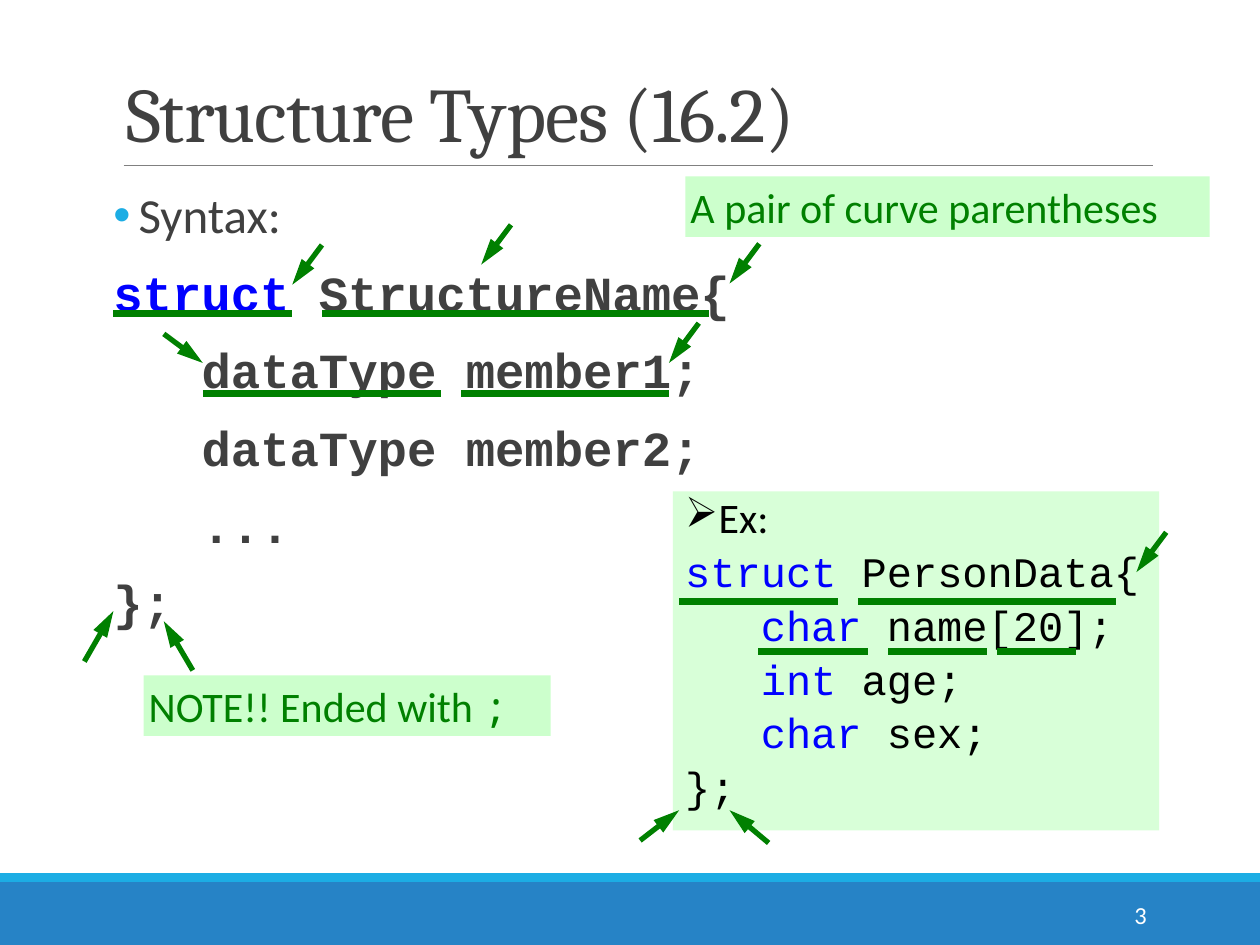
from lxml import etree
from pptx import Presentation
from pptx.dml.color import RGBColor
from pptx.enum.shapes import MSO_CONNECTOR, MSO_SHAPE
from pptx.enum.text import MSO_ANCHOR, MSO_AUTO_SIZE, PP_ALIGN
from pptx.oxml.ns import qn
from pptx.util import Pt

STRAIGHT = MSO_CONNECTOR.STRAIGHT
RECTANGLE = MSO_SHAPE.RECTANGLE
TOP, MIDDLE, BOTTOM = MSO_ANCHOR.TOP, MSO_ANCHOR.MIDDLE, MSO_ANCHOR.BOTTOM
NO_FIT, GROW = MSO_AUTO_SIZE.NONE, MSO_AUTO_SIZE.SHAPE_TO_FIT_TEXT
LEFT, RIGHT = PP_ALIGN.LEFT, PP_ALIGN.RIGHT

# Theme: colours, type styles and line widths
THEME = {
    "colors": {"band": "2683C6", "accent": "1CADE4", "rule": "808080", "mark": "008000",
               "note": "CCFFCC", "text": "404040", "keyword": "0000FF",
               "black": "000000", "white": "FFFFFF"},
    "styles": {  # font, size, colour, bold
        "title": ("Cambria", 44, "text", False),
        "lead": ("Calibri", 28, "text", False),
        "syntax": ("Courier New", 28, "text", True),
        "syntax keyword": ("Courier New", 28, "keyword", True),
        "example": ("Calibri", 24, "black", False),
        "code": ("Courier New", 24, "black", False),
        "code keyword": ("Courier New", 24, "keyword", False),
        "note": ("Calibri", 24, "mark", False),
        "note code": ("Noto Sans Mono", 24, "mark", False),
        "number": ("Calibri", 14, "white", False),
    },
    "lines": {"rule": 0.5, "underline": 4, "arrow": 3},
}
SYNTAX_INDENT, CODE_INDENT = 50.4, 43.2  # three monospaced characters

# Content: each line is (indent, bullet, runs); each run is (text, style)
TITLE = [(0, None, [("Structure Types (16.2)", "title")])]
SYNTAX = [
    (14.4, "•", [("Syntax:", "lead")]),
    (0, None, [("struct ", "syntax keyword"), ("StructureName{", "syntax")]),
    (SYNTAX_INDENT, None, [("dataType member1;", "syntax")]),
    (SYNTAX_INDENT, None, [("dataType member2;", "syntax")]),
    (SYNTAX_INDENT, None, [("...", "syntax")]),
    (0, None, [("};", "syntax")]),
]
EXAMPLE = [
    (0, "➢", [("Ex:", "example")]),
    (0, None, [("struct ", "code keyword"), ("PersonData{", "code")]),
    (CODE_INDENT, None, [("char", "code keyword"), (" name[20];", "code")]),
    (CODE_INDENT, None, [("int", "code keyword"), (" age;", "code")]),
    (CODE_INDENT, None, [("char", "code keyword"), (" sex;", "code")]),
    (0, None, [("};", "code")]),
]
NOTES = [  # box, runs
    ((391.7, 100.8, 299.5, 34.6), [("A pair of curve parentheses", "note")]),
    ((82.1, 385.9, 232.6, 34.6), [("NOTE!! Ended with ", "note"), (";", "note code")]),
]
NUMBER = [(0, None, [("3", "number")])]

UNDERLINES = {  # height on the slide: (start, end) of each underlined word
    179.3: [(64.8, 167), (184.3, 405.4)],
    224.6: [(115.9, 252), (263.5, 382.3)],
    343.8: [(388.1, 478.8), (490.3, 637.9)],
    372.2: [(433.4, 496.1), (507.6, 563.8), (569.5, 614.9)],
}
ARROWS = {  # offset from tip to tail: tips
    (17, -22.7): [(167, 162.7), (275, 151.2), (382.3, 207.4), (416.9, 162), (649.4, 326.9)],
    (-22.3, -16.6): [(115.9, 207.4)],
    (-16.6, 28.8): [(64.8, 349.2)],
    (16.6, 28.1): [(93.6, 355)],
    (-22.3, 17.3): [(388.1, 463)],
    (22.3, 18.7): [(416.9, 463)],
}


def color(name):
    return RGBColor.from_string(THEME["colors"][name])


def place(shape, box):
    for name, value in zip(("left", "top", "width", "height"), box):
        setattr(shape, name, Pt(value))


def set_bullet(paragraph, bullet, indent):
    properties = paragraph._p.get_or_add_pPr()
    properties.set("marL", str(Pt(indent)))
    properties.set("indent", str(-Pt(indent) if bullet else 0))
    if not bullet:
        etree.SubElement(properties, qn("a:buNone"))
        return
    if indent:
        bullet_color = etree.SubElement(properties, qn("a:buClr"))
        etree.SubElement(bullet_color, qn("a:srgbClr"), val=THEME["colors"]["accent"])
    etree.SubElement(properties, qn("a:buChar"), char=bullet)


def write(shape, lines, frame_format, paragraph_format):
    frame = shape.text_frame
    for name, value in frame_format.items():
        setattr(frame, name, value)
    for index, (indent, bullet, runs) in enumerate(lines):
        paragraph = frame.add_paragraph() if index else frame.paragraphs[0]
        for name, value in {"alignment": LEFT, **paragraph_format}.items():
            setattr(paragraph, name, value)
        set_bullet(paragraph, bullet, indent)
        for text, style in runs:
            run = paragraph.add_run()
            run.text = text
            font_name, size, color_name, bold = THEME["styles"][style]
            for name, value in {"name": font_name, "size": Pt(size), "bold": bold}.items():
                setattr(run.font, name, value)
            run.font.color.rgb = color(color_name)


def add_box(slide, box, fill):
    shape = slide.shapes.add_shape(RECTANGLE, *map(Pt, box))
    shape.shadow.inherit = False
    shape.fill.solid()
    shape.fill.fore_color.rgb = color(fill)
    shape.line.fill.background()
    return shape


def add_line(slide, start, end, kind, color_name):
    line = slide.shapes.add_connector(STRAIGHT, *map(Pt, (*start, *end)))
    line.line.color.rgb = color(color_name)
    line.line.width = Pt(THEME["lines"][kind])
    if kind == "arrow":
        etree.SubElement(line.line._get_or_add_ln(), qn("a:tailEnd"),
                         type="triangle", w="med", len="lg")
    etree.SubElement(line._element.spPr, qn("a:effectLst"))


def main():
    presentation = Presentation()
    presentation.slide_width, presentation.slide_height = Pt(720), Pt(540)
    slide = presentation.slides.add_slide(presentation.slide_layouts[1])

    # Footer bands and title rule
    add_box(slide, (0, 504, 720, 36), "band")
    add_box(slide, (0, 499, 720, 5), "accent")
    add_line(slide, (70.6, 94.3), (658.8, 94.3), "rule", "rule")

    # Title and syntax
    title, body = slide.shapes.title, slide.placeholders[1]
    place(title, (64.8, 22.3, 594, 72))
    write(title, TITLE, {"vertical_anchor": BOTTOM, "auto_size": NO_FIT},
          {"line_spacing": 0.85})
    title.text_frame.paragraphs[0].runs[0].font._element.set("spc", "-50")
    place(body, (64.8, 105.8, 594, 385.2))
    write(body, SYNTAX,
          {"vertical_anchor": TOP, "auto_size": NO_FIT, "margin_left": 0, "margin_right": 0},
          {"line_spacing": 0.9, "space_before": Pt(12), "space_after": Pt(2)})

    # Slide number
    number = slide.shapes.add_textbox(*map(Pt, (584.6, 508.3, 77.8, 28.8)))
    write(number, NUMBER, {"word_wrap": True, "vertical_anchor": MIDDLE}, {"alignment": RIGHT})

    # Example
    example = add_box(slide, (384.5, 280.8, 277.9, 193.7), "note")
    fill_color = example._element.spPr.find(qn("a:solidFill"))[0]
    etree.SubElement(fill_color, qn("a:alpha"), val="75000")
    write(example, EXAMPLE, {"word_wrap": True, "vertical_anchor": TOP, "auto_size": GROW},
          {"line_spacing": 0.9, "space_before": Pt(4.8)})

    # Notes
    margins = {f"margin_{side}": Pt(2.9) for side in ("left", "top", "right", "bottom")}
    for box, runs in NOTES:
        write(add_box(slide, box, "note"), [(0, None, runs)],
              {"word_wrap": False, "vertical_anchor": TOP, "auto_size": GROW, **margins}, {})

    # Underlines and arrows
    for y, spans in UNDERLINES.items():
        for start, end in spans:
            add_line(slide, (start, y), (end, y), "underline", "mark")
    for (across, down), tips in ARROWS.items():
        for x, y in tips:
            add_line(slide, (x + across, y + down), (x, y), "arrow", "mark")

    presentation.save("out.pptx")


if __name__ == "__main__":
    main()
